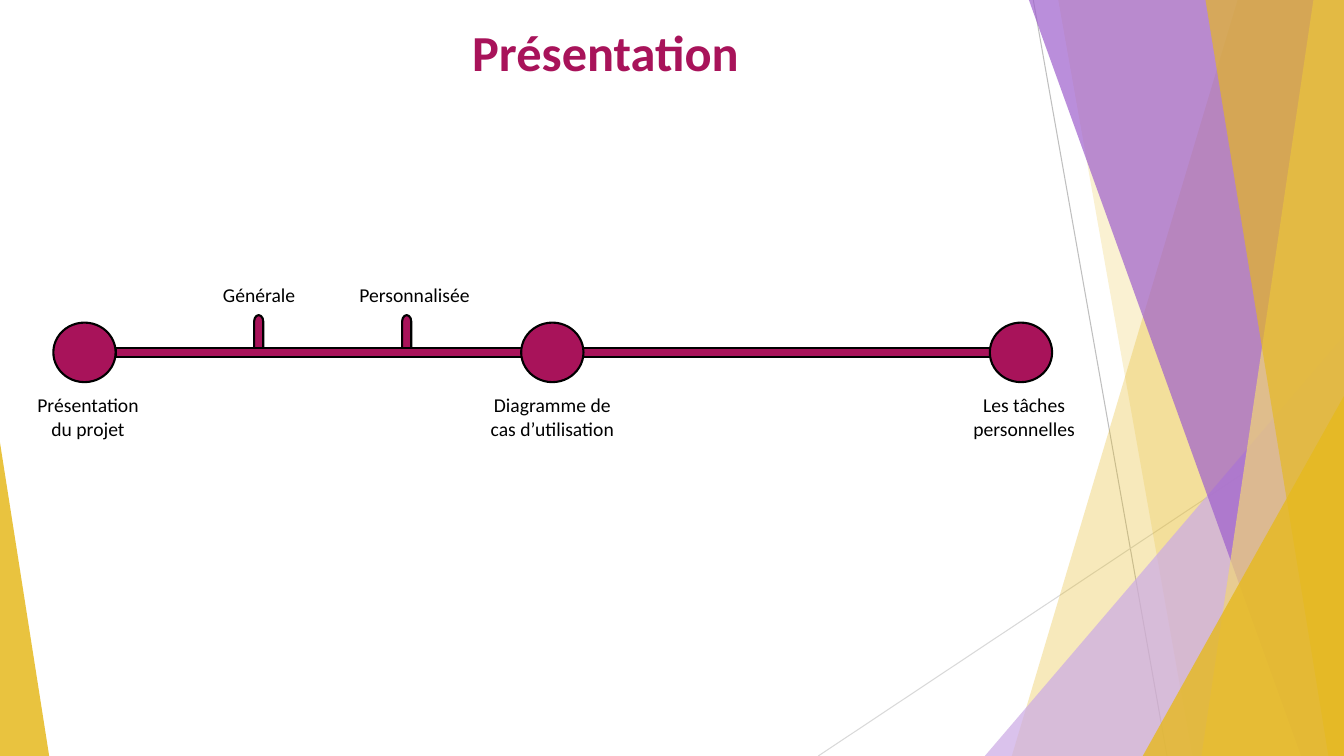
from dataclasses import dataclass

from lxml import etree
from pptx import Presentation
from pptx.dml.color import RGBColor
from pptx.enum import shapes, text
from pptx.oxml import ns
from pptx.util import Cm, Pt

GOLD = RGBColor(0xE6, 0xB9, 0x1E)
PALE_GOLD = RGBColor(0xF0, 0xD5, 0x78)
PURPLE = RGBColor(0x9E, 0x5F, 0xCD)
LILAC = RGBColor(0xCC, 0xAB, 0xE5)
GREY = RGBColor(0xBF, 0xBF, 0xBF)
LIGHT_GREY = RGBColor(0xD9, 0xD9, 0xD9)
CRIMSON = RGBColor(0xA8, 0x13, 0x5A)
BLACK = RGBColor(0, 0, 0)

WIDTH, HEIGHT = 33.87, 19.05
AXIS_Y = 8.88
BAR_HEIGHT = 0.23
TICK_LENGTH = 1.0
DOT_WIDTH, DOT_HEIGHT = 1.57, 1.5
KIND = shapes.MSO_SHAPE
ALIGN = text.PP_ALIGN


@dataclass(frozen=True)
class Ray:
    """Thin line between two points."""
    x1: float
    y1: float
    x2: float
    y2: float
    color: RGBColor


@dataclass(frozen=True)
class Band:
    """Full-height area from a slanted left edge to the right slide edge."""
    top_x: float
    bottom_x: float
    color: RGBColor
    opacity: int


@dataclass(frozen=True)
class Corner:
    """Right triangle standing on the bottom slide edge."""
    left: float
    top: float
    width: float
    apex: float
    color: RGBColor
    opacity: int


@dataclass(frozen=True)
class Stage:
    """Point on the timeline with its caption."""
    x: float
    caption: str
    caption_x: float
    caption_width: float
    align: ALIGN = ALIGN.CENTER


RAYS = [
    Ray(26.04, 0, 29.41, HEIGHT, GREY),
    Ray(WIDTH, 10.24, 20.62, HEIGHT, LIGHT_GREY),
]
# Decoration from back to front
DECOR = [
    Band(31.19, 25.5, GOLD, 30),
    Band(26.67, 30.05, GOLD, 20),
    Corner(24.82, 8.46, 9.05, 1, LILAC, 72),
    Band(25.93, 32.79, PURPLE, 70),
    Band(33.1, 30.28, PALE_GOLD, 70),
    Band(30.38, 33.48, GOLD, 65),
    Corner(28.8, 9.98, 5.07, 1, GOLD, 80),
    Corner(0, 11.15, 1.24, 0, GOLD, 85),
]
MAIN_STAGES = [
    Stage(2.13, "Présentation du projet", 2.22, 3.33),
    Stage(13.92, "Diagramme de cas d’utilisation", 13.92, 3.66),
    Stage(25.73, "Les tâches personnelles", 25.81, 3.3),
]
SUB_STAGES = [
    Stage(6.52, "Générale", 6.53, 3.15),
    Stage(10.25, "Personnalisée", 10.26, 3.66, ALIGN.RIGHT),
]


def write(box, wording: str, *, size: float, color: RGBColor,
          bold: bool = False, align: ALIGN = ALIGN.CENTER) -> None:
    frame = box.text_frame
    frame.word_wrap = True
    frame.auto_size = text.MSO_AUTO_SIZE.SHAPE_TO_FIT_TEXT
    frame.vertical_anchor = text.MSO_ANCHOR.TOP
    paragraph = frame.paragraphs[0]
    paragraph.alignment = align
    run = paragraph.add_run()
    run.text = wording
    run.font.name = "Calibri"
    run.font.size = Pt(size)
    run.font.bold = bold
    run.font.color.rgb = color


def draw_ray(slide, ray: Ray) -> None:
    line = slide.shapes.add_connector(
        shapes.MSO_CONNECTOR.STRAIGHT,
        Cm(ray.x1), Cm(ray.y1), Cm(ray.x2), Cm(ray.y2))
    line.line.color.rgb = ray.color
    line.line.width = Pt(0.75)
    etree.SubElement(line._element.spPr, ns.qn("a:effectLst"))


def draw_decor(slide, part: Band | Corner) -> None:
    if isinstance(part, Band):
        builder = slide.shapes.build_freeform(Cm(part.top_x), 0)
        builder.add_line_segments([
            (Cm(WIDTH), 0), (Cm(WIDTH), Cm(HEIGHT)),
            (Cm(part.bottom_x), Cm(HEIGHT))], close=True)
        area = builder.convert_to_shape()
    else:
        area = slide.shapes.add_shape(
            KIND.ISOSCELES_TRIANGLE, Cm(part.left), Cm(part.top),
            Cm(part.width), Cm(HEIGHT - part.top))
        area.adjustments[0] = part.apex
    area.shadow.inherit = False
    area.line.fill.background()
    area.fill.solid()
    area.fill.fore_color.rgb = part.color
    color = area._element.spPr.find(".//" + ns.qn("a:srgbClr"))
    etree.SubElement(color, ns.qn("a:alpha"), val=str(part.opacity * 1000))


def draw_mark(slide, kind: KIND, center_x: float, center_y: float,
              width: float, height: float, rotation: float = 0) -> None:
    mark = slide.shapes.add_shape(
        kind, Cm(center_x - width / 2), Cm(center_y - height / 2),
        Cm(width), Cm(height))
    mark.rotation = rotation
    mark.shadow.inherit = False
    mark.fill.solid()
    mark.fill.fore_color.rgb = CRIMSON
    mark.line.color.rgb = BLACK
    mark.line.width = Pt(1.5)


def draw_caption(slide, stage: Stage, top: float, height: float) -> None:
    caption = slide.shapes.add_textbox(
        Cm(stage.caption_x - stage.caption_width / 2), Cm(top),
        Cm(stage.caption_width), Cm(height))
    write(caption, stage.caption, size=14, color=BLACK, align=stage.align)


def main() -> None:
    deck = Presentation()
    deck.slide_width, deck.slide_height = Cm(WIDTH), Cm(HEIGHT)
    slide = deck.slides.add_slide(deck.slide_layouts[5])

    # Background decoration
    for ray in RAYS:
        draw_ray(slide, ray)
    for part in DECOR:
        draw_decor(slide, part)

    # Title
    title = slide.shapes.title
    title.left, title.top = Cm(9.53), Cm(0.41)
    title.width, title.height = Cm(11.46), Cm(1.8)
    write(title, "Présentation", size=36, color=CRIMSON, bold=True)

    # Timeline: ticks, bar, then dots on top
    for stage in SUB_STAGES:
        draw_mark(slide, KIND.FLOWCHART_TERMINATOR, stage.x,
                  AXIS_Y - TICK_LENGTH / 2 + 0.06,
                  TICK_LENGTH, BAR_HEIGHT, rotation=270)
        draw_caption(slide, stage, top=7.01, height=0.86)
    first, last = MAIN_STAGES[0].x, MAIN_STAGES[-1].x
    draw_mark(slide, KIND.RECTANGLE, (first + last) / 2, AXIS_Y,
              last - first - DOT_WIDTH, BAR_HEIGHT)
    for stage in MAIN_STAGES:
        draw_mark(slide, KIND.OVAL, stage.x, AXIS_Y, DOT_WIDTH, DOT_HEIGHT)
        draw_caption(slide, stage, top=9.78, height=1.45)

    deck.save("out.pptx")


if __name__ == "__main__":
    main()
